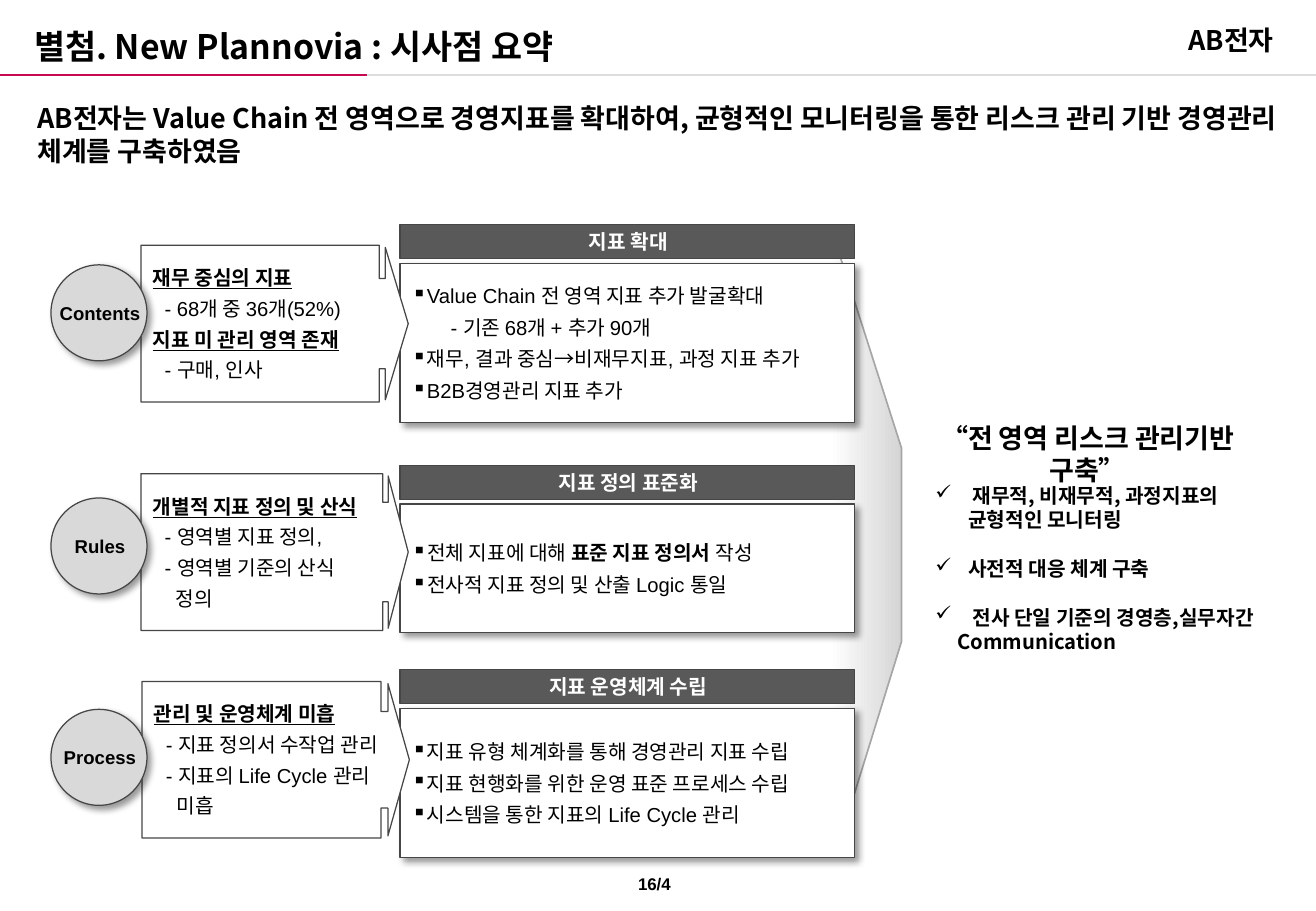
from dataclasses import dataclass

from lxml import etree
from pptx import Presentation
from pptx.dml.color import RGBColor
from pptx.enum.shapes import MSO_CONNECTOR, MSO_SHAPE
from pptx.enum.text import MSO_ANCHOR, PP_ALIGN
from pptx.oxml.ns import qn
from pptx.util import Pt

RECTANGLE, ELLIPSE = MSO_SHAPE.RECTANGLE, MSO_SHAPE.OVAL
CALLOUT = MSO_SHAPE.RIGHT_ARROW_CALLOUT
STRAIGHT = MSO_CONNECTOR.STRAIGHT
TOP, MIDDLE = MSO_ANCHOR.TOP, MSO_ANCHOR.MIDDLE
LEFT, CENTER, RIGHT = PP_ALIGN.LEFT, PP_ALIGN.CENTER, PP_ALIGN.RIGHT

BLACK = RGBColor(0x00, 0x00, 0x00)
WHITE = RGBColor(0xFF, 0xFF, 0xFF)
CRIMSON = RGBColor(0xC7, 0x09, 0x52)
RULE_GRAY = RGBColor(0xDD, 0xDD, 0xDD)
OUTLINE = RGBColor(0x46, 0x46, 0x46)
HEADER_GRAY = RGBColor(0x59, 0x59, 0x59)
CIRCLE_GRAY = RGBColor(0xD9, 0xD9, 0xD9)
ARROW_GRAY = RGBColor(0xD5, 0xD5, 0xD5)
ARROW_EDGE = RGBColor(0xA6, 0xA6, 0xA6)

ARIAL, NOTO = "Arial", "Noto Sans CJK KR"
SHAPE_INSETS = (7.2, 0, 5.8, 0)
BOX_INSETS = (7.2, 3.6, 7.2, 3.6)


@dataclass
class Line:
    """One paragraph; parts between asterisks are bold."""
    text: str
    margin: float = 0
    bullet: str = ""
    bold: bool = False
    underline: bool = False
    gap: float = 0


def heading(text):
    """Return an underlined callout heading."""
    return Line(text, bold=True, underline=True, gap=3.8)


def detail(text, margin=7):
    """Return an indented callout line."""
    return Line(text, margin, gap=3.8)


def point(text, margin=6):
    """Return a square-bulleted line."""
    return Line(text, margin, "▪", gap=4.3)


def title_line(text):
    """Return a bold line without indent."""
    return Line(text, bold=True)


ROWS = [
    ("Contents", 157, 83.5, 145.4, (0.576, 0.486, 0.146, 0.892),
     [heading("재무 중심의 지표"), detail("- 68개 중 36개(52%)"),
      heading("지표 미 관리 영역 존재"), detail("- 구매, 인사")],
     "지표 확대", 156.2, 94.3,
     [point("Value Chain 전 영역 지표 추가 발굴확대"),
      Line("- 기존 68개 + 추가 90개", 23, gap=4.3),
      point("재무, 결과 중심→비재무지표, 과정 지표 추가"),
      point("B2B경영관리 지표 추가")]),
    ("Rules", 295.2, 83.5, 280.8, (0.635, 0.486, 0.128, 0.905),
     [heading("개별적 지표 정의 및 산식"), detail("- 영역별 지표 정의,"),
      detail("- 영역별 기준의 산식"), detail("정의", 13.5)],
     "지표 정의 표준화", 298.8, 76.3,
     [point("전체 지표에 대해 *표준 지표 정의서 *작성", 9),
      point("전사적 지표 정의 및 산출 Logic 통일", 9)]),
    ("Process", 420.5, 84.2, 403.9, (0.617, 0.486, 0.137, 0.894),
     [heading("관리 및 운영체계 미흡"), detail("- 지표 정의서 수작업 관리"),
      detail("- 지표의 Life Cycle 관리"), detail("미흡", 13.5)],
     "지표 운영체계 수립", 419.8, 88.6,
     [point("지표 유형 체계화를 통해 경영관리 지표 수립"),
      point("지표 현행화를 위한 운영 표준 프로세스 수립"),
      point("시스템을 통한 지표의 Life Cycle 관리")]),
]

EFFECTS = [
    Line("재무적, 비재무적, 과정지표의", 22, "✓", True),
    Line("균형적인 모니터링", 19.5, bold=True),
    Line("사전적 대응 체계 구축", 19.5, "✓", True, gap=14.4),
    Line("전사 단일 기준의 경영층,실무자간", 22, "✓", True, gap=14.4),
    Line("Communication", 13, bold=True),
]


def place(shape, left, top, width, height):
    """Set a shape's position and size in points."""
    shape.left, shape.top = Pt(left), Pt(top)
    shape.width, shape.height = Pt(width), Pt(height)


def write(shape, lines, size, font=ARIAL, color=BLACK, align=LEFT,
          anchor=TOP, insets=BOX_INSETS, wrap=True):
    """Fill a shape with formatted paragraphs."""
    frame = shape.text_frame
    frame.word_wrap, frame.vertical_anchor = wrap, anchor
    (frame.margin_left, frame.margin_top,
     frame.margin_right, frame.margin_bottom) = map(Pt, insets)
    for index, line in enumerate(lines):
        paragraph = frame.add_paragraph() if index else frame.paragraphs[0]
        properties = paragraph._p.get_or_add_pPr()
        properties.set("marL", str(Pt(line.margin)))
        properties.set("indent", str(Pt(-line.margin if line.bullet else 0)))
        if line.bullet:
            etree.SubElement(properties, qn("a:buChar"), char=line.bullet)
        else:
            etree.SubElement(properties, qn("a:buNone"))
        paragraph.alignment = align
        paragraph.space_before = Pt(line.gap)
        paragraph.font.size, paragraph.font.name = Pt(size), font
        paragraph.font.bold, paragraph.font.underline = line.bold, line.underline
        paragraph.font.color.rgb = color
        etree.SubElement(properties.defRPr, qn("a:ea"), typeface=NOTO)
        for part, text in enumerate(line.text.split("*")):
            run = paragraph.add_run()
            run.text = text
            if part % 2:
                run.font.bold = True


def add_shadow(shape):
    """Give a shape a soft shadow to the lower right."""
    effects = shape._element.spPr.find(qn("a:effectLst"))
    shadow = etree.SubElement(effects, qn("a:outerShdw"), blurRad=str(Pt(4)),
                              dist=str(Pt(3)), dir="2700000", algn="tl")
    tint = etree.SubElement(shadow, qn("a:srgbClr"), val=str(BLACK))
    etree.SubElement(tint, qn("a:alpha"), val="40000")


def add_panel(slide, kind, bounds, fill, lines, size=12, color=BLACK,
              align=LEFT, shadow=False, adjustments=()):
    """Add an outlined shape with text."""
    panel = slide.shapes.add_shape(kind, *map(Pt, bounds))
    for index, value in enumerate(adjustments):
        panel.adjustments[index] = value
    panel.shadow.inherit = False
    panel.fill.solid()
    panel.fill.fore_color.rgb = fill
    panel.line.color.rgb, panel.line.width = OUTLINE, Pt(0.75)
    if shadow:
        add_shadow(panel)
    write(panel, lines, size, color=color, align=align, anchor=MIDDLE,
          insets=SHAPE_INSETS, wrap=False)


def add_text(slide, bounds, lines, size, font=NOTO, align=LEFT):
    """Add a text box."""
    box = slide.shapes.add_textbox(*map(Pt, bounds))
    write(box, lines, size, font, align=align)


def add_rule(slide, start, end, color):
    """Add one part of the line under the title."""
    rule = slide.shapes.add_connector(STRAIGHT, Pt(start), Pt(44.6), Pt(end), Pt(44.6))
    rule.line.color.rgb, rule.line.width = color, Pt(1.5)
    etree.SubElement(rule._element.spPr, qn("a:effectLst"))


def add_result_arrow(slide):
    """Add the graded outline that leads to the result."""
    builder = slide.shapes.build_freeform(Pt(491.8), Pt(133.2), scale=1.0)
    tips = [(534.2, 265.7), (534.2, 380.2), (494.6, 508.3)]
    builder.add_line_segments([(Pt(x), Pt(y)) for x, y in tips], close=False)
    arrow = builder.convert_to_shape()
    arrow.shadow.inherit = False
    arrow.fill.gradient()
    arrow.fill.gradient_angle = 0
    for stop, color in zip(arrow.fill.gradient_stops, (WHITE, ARROW_GRAY)):
        stop.color.rgb = color
    arrow.line.color.rgb, arrow.line.width = ARROW_EDGE, Pt(1)


def add_row(slide, row):
    """Add one topic: its measures, present state and label."""
    (topic, circle_top, callout_left, callout_top, adjustments, issues,
     header, top, height, measures) = row
    add_panel(slide, RECTANGLE, (237, top, 269.3, height), WHITE, measures, shadow=True)
    add_panel(slide, RECTANGLE, (237, top - 23, 269.3, 20.2), HEADER_GRAY,
              [title_line(header)], color=WHITE, align=CENTER)
    add_panel(slide, CALLOUT, (callout_left, callout_top, 158.4, 92.9), WHITE,
              issues, adjustments=adjustments)
    add_panel(slide, ELLIPSE, (30.2, circle_top, 56.9, 56.9), CIRCLE_GRAY,
              [title_line(topic)], size=11, align=CENTER, shadow=True)


def main():
    """Build the summary slide."""
    deck = Presentation()
    deck.slide_width, deck.slide_height = Pt(779.76), Pt(540)
    slide = deck.slides.add_slide(deck.slide_layouts[1])
    title, company = slide.placeholders
    place(title, 13, 10.1, 577.4, 33.8)
    write(title, [title_line("별첨. New Plannovia : 시사점 요약")], 20, NOTO, anchor=MIDDLE)
    place(company, 547.2, 10.1, 214.6, 33.8)
    write(company, [title_line("AB전자")], 16, NOTO, align=RIGHT)
    add_rule(slide, 0, 217.4, CRIMSON)
    add_rule(slide, 217.4, 779.76, RULE_GRAY)
    add_text(slide, (364.3, 514.1, 46.8, 19.4), [title_line("16/4")], 10, ARIAL, CENTER)
    add_result_arrow(slide)
    add_text(slide, (15.1, 56.9, 751.7, 42.5), [title_line(
        "AB전자는 Value Chain 전 영역으로 경영지표를 확대하여, 균형적인 모니터링을 "
        "통한 리스크 관리 기반 경영관리 체계를 구축하였음")], 16)
    for row in ROWS:
        add_row(slide, row)
    add_text(slide, (537, 246.2, 215, 26.6),
             [title_line("“전 영역 리스크 관리기반 구축”")], 16, align=CENTER)
    add_text(slide, (547.2, 283, 223.2, 108.7), EFFECTS, 12)
    deck.save("out.pptx")


if __name__ == "__main__":
    main()
